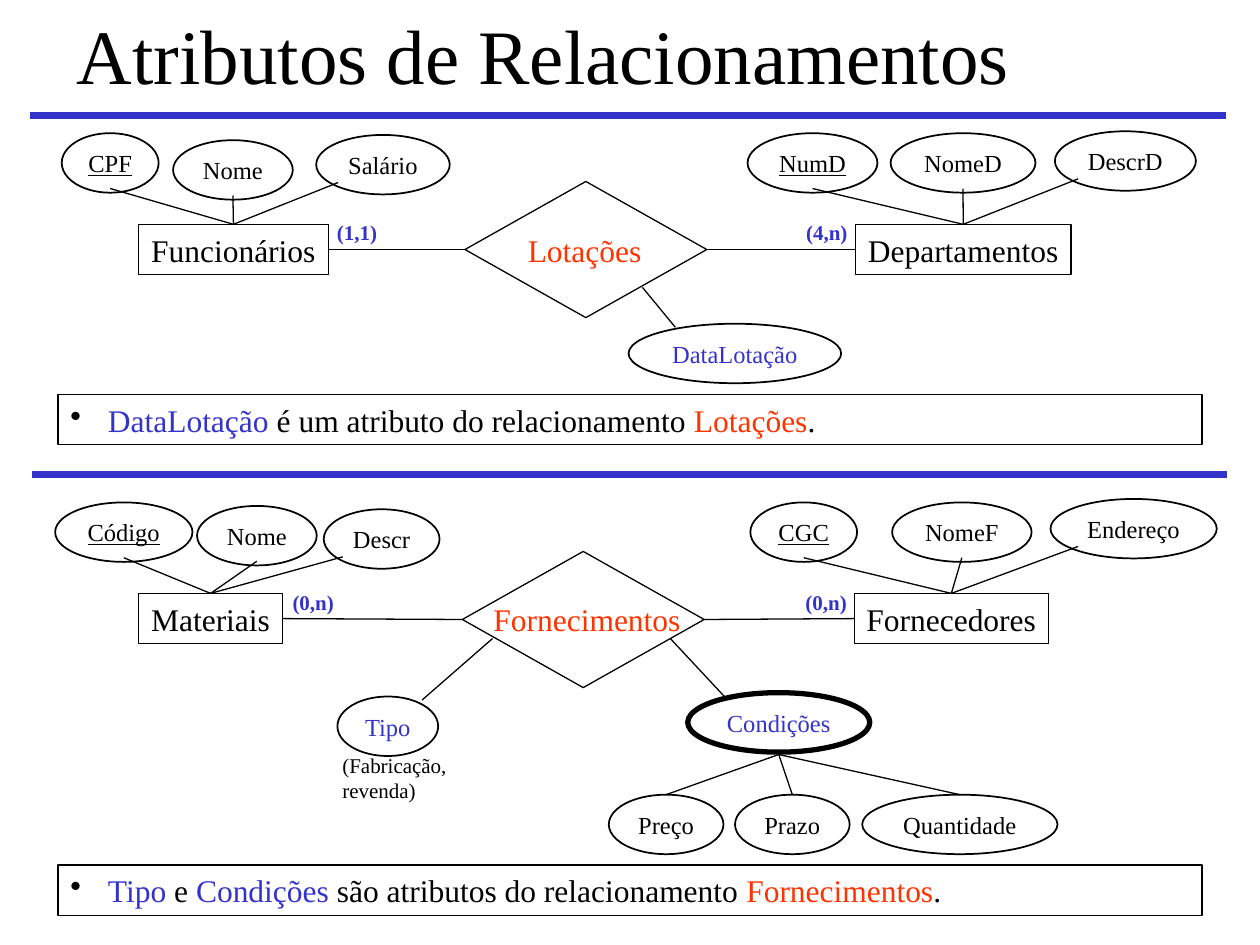
from lxml import etree
from pptx import Presentation
from pptx.dml.color import RGBColor
from pptx.enum.shapes import MSO_CONNECTOR, MSO_SHAPE
from pptx.enum.text import MSO_ANCHOR, MSO_AUTO_SIZE, PP_ALIGN
from pptx.oxml.ns import qn
from pptx.util import Pt

STRAIGHT = MSO_CONNECTOR.STRAIGHT
RECTANGLE, ELLIPSE, DIAMOND = MSO_SHAPE.RECTANGLE, MSO_SHAPE.OVAL, MSO_SHAPE.FLOWCHART_DECISION
MIDDLE, NO_FIT = MSO_ANCHOR.MIDDLE, MSO_AUTO_SIZE.NONE
LEFT, CENTER = PP_ALIGN.LEFT, PP_ALIGN.CENTER

FONT = "Times New Roman"
COLORS = {"black": "000000", "blue": "3333CC", "red": "FF3300"}
TITLE = "Atributos de Relacionamentos"
ENTITY_HEIGHT, ELLIPSE_HEIGHT = 28.8, 34
DIAMOND_WIDTH, DIAMOND_HEIGHT = 138.2, 77.8
TOP, LEFT_SIDE, RIGHT_SIDE = 0, 1, 3
BOTTOM_MIDDLE, BOTTOM_LEFT, TOP_MIDDLE, UNDER = (0.5, 0.93), (0.165, 0.8), (0.5, 0), (0.5, 1.04)

# entities: name, left, top, width; attributes: name, left, top, width, entity, line end
DIAGRAMS = [
    {
        "relationship": ("Lotações", 265.7, 103.7, 294.5, 128.2, 79.2),
        "entities": [("Funcionários", 79.2, 128.2, 108.4), ("Departamentos", 488.9, 128.2, 123.1)],
        "keys": ["CPF", "NumD"],
        "attributes": [
            ("CPF", 35.3, 76.1, 55.4, "Funcionários", BOTTOM_MIDDLE),
            ("Nome", 98.9, 80.1, 68.4, "Funcionários", BOTTOM_MIDDLE),
            ("Salário", 180.7, 77.1, 76.3, "Funcionários", BOTTOM_LEFT),
            ("NumD", 427.2, 76.1, 74.2, "Departamentos", BOTTOM_MIDDLE),
            ("NomeD", 508.9, 76.1, 82.8, "Departamentos", BOTTOM_MIDDLE),
            ("DescrD", 602.8, 75, 80.6, "Departamentos", BOTTOM_LEFT),
        ],
        "relationship_attributes": [
            ("DataLotação", 359.2, 185, 121.5, 1, (0.22, 0.06), (0.734, 0.778)),
        ],
        "parts": [],
        "labels": [("(1,1)", 185, 121.8), ("(4,n)", 453.5, 121.8)],
        "note": (225.4, [("DataLotação", "blue"), (" é um atributo do relacionamento ", "black"),
                         ("Lotações", "red"), (".", "black")]),
        "rule": (17.3, 65.8),
    },
    {
        "relationship": ("Fornecimentos", 264.2, 315.1, 275, 339.1, 121),
        "entities": [("Materiais", 79.2, 339.1, 82.3), ("Fornecedores", 488.2, 339.1, 110.9)],
        "keys": ["Código", "CGC"],
        "attributes": [
            ("Código", 31.5, 287.1, 78.5, "Materiais", BOTTOM_MIDDLE),
            ("Nome", 112.6, 289.1, 68.4, "Materiais", BOTTOM_MIDDLE),
            ("Descr", 185, 291, 66.2, "Materiais", BOTTOM_LEFT),
            ("CGC", 428.8, 287.1, 61, "Fornecedores", BOTTOM_MIDDLE),
            ("NomeF", 509.8, 287.1, 79.7, "Fornecedores", BOTTOM_MIDDLE),
            ("Endereço", 600.3, 285.1, 95, "Fornecedores", BOTTOM_LEFT),
        ],
        "relationship_attributes": [
            ("Tipo", 192.8, 398, 57.6, 1, (0.84, 0.06), (0.125, 0.64)),
            ("Condições", 393, 395.8, 104, 3, (0.2, 0.06), (0.86, 0.64)),
        ],
        "parts": [("Preço", 347.9, 454.1, 65.5), ("Prazo", 420, 454.1, 65.5),
                  ("Quantidade", 492.7, 454.1, 111.6)],
        "labels": [("(0,n)", 160, 333.2), ("(0,n)", 453.1, 333.2)],
        "note": (494.4, [("Tipo", "blue"), (" e ", "black"), ("Condições", "blue"),
                         (" são atributos do relacionamento ", "black"),
                         ("Fornecimentos", "red"), (".", "black")]),
        "rule": (18, 270.9),
    },
]
DOMAIN = (["(Fabricação,", "revenda)"], 188.6, 426.2, 74.2, 36)


def rgb(color):
    return RGBColor.from_string(COLORS[color])


def write(shape, lines, size, color="black", align=CENTER, bold=False, underline=False):
    frame = shape.text_frame
    frame.word_wrap, frame.auto_size, frame.vertical_anchor = False, NO_FIT, MIDDLE
    frame.text = "\n".join(lines)
    for para in frame.paragraphs:
        para.alignment = align
        font = para.font
        font.name, font.size, font.bold, font.underline = FONT, Pt(size), bold, underline
        font.color.rgb = rgb(color)


def add_outline(slide, kind, left, top, width, height, weight=0.75):
    shape = slide.shapes.add_shape(kind, Pt(left), Pt(top), Pt(width), Pt(height))
    shape.shadow.inherit = False
    shape.fill.background()
    shape.line.color.rgb = rgb("black")
    shape.line.width = Pt(weight)
    return shape


def add_ellipse(slide, name, left, top, width, color="black", weight=1, underline=False):
    ellipse = add_outline(slide, ELLIPSE, left, top, width, ELLIPSE_HEIGHT, weight)
    write(ellipse, [name], 14, color, underline=underline)
    return ellipse


def add_text(slide, lines, left, top, width, height, size, **style):
    box = slide.shapes.add_textbox(Pt(left), Pt(top), Pt(width), Pt(height))
    write(box, lines, size, **style)


def point_on(shape, fraction):
    across, down = fraction
    return int(shape.left + across * shape.width), int(shape.top + down * shape.height)


def add_line(slide, start, end, color="black", weight=0.75):
    line = slide.shapes.add_connector(STRAIGHT, *start, *end)
    line.line.color.rgb = rgb(color)
    line.line.width = Pt(weight)
    etree.SubElement(line._element.spPr, qn("a:effectLst"))
    return line


def add_note(slide, top, spans):
    box = add_outline(slide, RECTANGLE, 33.1, top, 653.8, ENTITY_HEIGHT)
    frame = box.text_frame
    frame.word_wrap, frame.vertical_anchor = True, MIDDLE
    para = frame.paragraphs[0]
    para.alignment = LEFT
    properties = para._p.get_or_add_pPr()
    properties.set("marL", str(Pt(21.5)))
    properties.set("indent", str(-Pt(21.5)))
    bullet_color = etree.SubElement(properties, qn("a:buClr"))
    etree.SubElement(bullet_color, qn("a:srgbClr"), val=COLORS["black"])
    etree.SubElement(properties, qn("a:buChar"), char="•")
    para.font.name, para.font.size = FONT, Pt(18)
    for text, color in spans:
        span = para.add_run()
        span.text = text
        span.font.color.rgb = rgb(color)


def add_diagram(slide, diagram):
    name, left, top, *name_box = diagram["relationship"]
    diamond = add_outline(slide, DIAMOND, left, top, DIAMOND_WIDTH, DIAMOND_HEIGHT)
    add_text(slide, [name], *name_box, ENTITY_HEIGHT, 18, color="red")

    entities = {}
    sides = [(RIGHT_SIDE, LEFT_SIDE), (LEFT_SIDE, RIGHT_SIDE)]
    for (name, *place), (entity_side, diamond_side) in zip(diagram["entities"], sides):
        entity = add_outline(slide, RECTANGLE, *place, ENTITY_HEIGHT)
        write(entity, [name], 18)
        entities[name] = entity
        link = add_line(slide, (0, 0), (0, 0))
        link.begin_connect(entity, entity_side)
        link.end_connect(diamond, diamond_side)

    for name, left, top, width, owner, line_end in diagram["attributes"]:
        ellipse = add_ellipse(slide, name, left, top, width, underline=name in diagram["keys"])
        end = point_on(ellipse, line_end)
        add_line(slide, end, end).begin_connect(entities[owner], TOP)

    for name, left, top, width, weight, line_end, origin in diagram["relationship_attributes"]:
        composite = add_ellipse(slide, name, left, top, width, "blue", weight)
        add_line(slide, point_on(diamond, origin), point_on(composite, line_end))

    for part in diagram["parts"]:
        ellipse = add_ellipse(slide, *part)
        add_line(slide, point_on(composite, UNDER), point_on(ellipse, TOP_MIDDLE))

    for text, left, top in diagram["labels"]:
        add_text(slide, [text], left, top, 38, 21.6, 12, color="blue", bold=True)
    add_note(slide, *diagram["note"])
    left, top = diagram["rule"]
    add_line(slide, (Pt(left), Pt(top)), (Pt(left + 683), Pt(top)), "blue", 4)


def main():
    """Build the slide on attributes of relationships."""
    deck = Presentation()
    deck.slide_width, deck.slide_height = Pt(720), Pt(540)
    slide = deck.slides.add_slide(deck.slide_layouts[5])
    title = slide.shapes.title
    title.left, title.top, title.width, title.height = Pt(36.7), Pt(7.9), Pt(645.8), Pt(46.1)
    write(title, [TITLE], 44, align=LEFT)
    for diagram in DIAGRAMS:
        add_diagram(slide, diagram)
    lines, *place = DOMAIN
    add_text(slide, lines, *place, 12, align=LEFT)
    deck.save("out.pptx")


if __name__ == "__main__":
    main()
